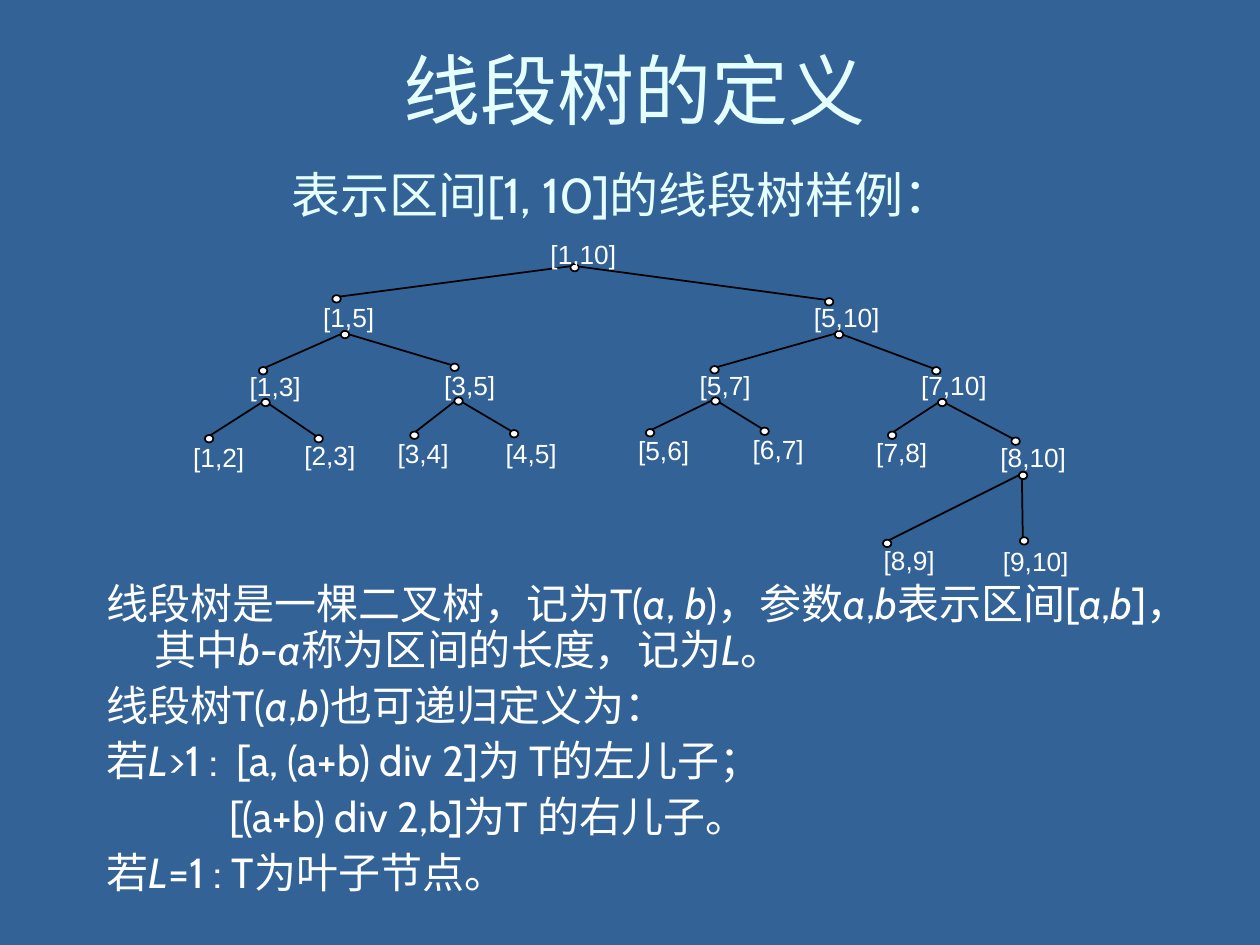
from lxml.etree import SubElement
from pptx import Presentation
from pptx.dml.color import RGBColor
from pptx.enum.shapes import MSO_CONNECTOR as Connector, MSO_SHAPE as Shape
from pptx.enum.text import MSO_ANCHOR as Anchor, MSO_AUTO_SIZE as AutoSize, PP_ALIGN as Align
from pptx.oxml.ns import qn
from pptx.util import Cm, Pt

BLUE = RGBColor(0x32, 0x62, 0x96)
PALE_CYAN = RGBColor(0xE5, 0xFF, 0xFF)
WHITE = RGBColor(0xFF, 0xFF, 0xFF)
BLACK = RGBColor(0x01, 0x01, 0x01)

HANGING = (0.97, -0.97)
DEFINITION = [
    ("线段树是一棵二叉树，记为T(*a*, *b*)，参数*a*,*b*表示区间[*a*,*b*]，"
     "其中*b*-*a*称为区间的长度，记为*L*。", HANGING),
    ("线段树T(*a*,*b*)也可递归定义为：", HANGING),
    ("若*L*>1 :  [a, (a+b) div 2]为 T的左儿子；", HANGING),
    ("[(a+b) div 2,b]为T 的右儿子。", (2.47, 0)),
    ("若*L*=1 : T为叶子节点。", HANGING),
]

LABELS = {
    (1, 10): (7.2, 0), (1, 5): (2.63, 1.27), (5, 10): (12.51, 1.27),
    (1, 3): (1.15, 2.67), (3, 5): (5.07, 2.64), (5, 7): (10.22, 2.64),
    (7, 10): (14.67, 2.64), (1, 2): (0.01, 4.09), (2, 3): (2.25, 4.06),
    (3, 4): (4.13, 4.01), (4, 5): (6.31, 4.01), (5, 6): (8.98, 3.96),
    (6, 7): (11.29, 3.94), (7, 8): (13.78, 3.99), (8, 10): (16.27, 4.09),
    (8, 9): (13.93, 6.17), (9, 10): (16.32, 6.2),
}
ENTRIES = {
    (1, 5): (2.86, 1.19), (5, 10): (12.79, 1.25), (1, 3): (1.38, 2.64),
    (3, 5): (5.24, 2.57), (5, 7): (10.48, 2.62), (7, 10): (14.95, 2.64),
    (1, 2): (0.29, 4.01), (2, 3): (2.5, 4.01), (3, 4): (4.43, 3.94),
    (4, 5): (6.44, 3.91), (5, 6): (9.18, 3.89), (6, 7): (11.49, 3.86),
    (7, 8): (14.06, 3.94), (8, 10): (16.55, 4.06), (8, 9): (13.96, 6.12),
    (9, 10): (16.72, 6.07),
}
EXITS = {
    (1, 10): (7.66, 0.56), (1, 5): (3.03, 1.91), (5, 10): (12.99, 1.91),
    (1, 3): (1.43, 3.28), (3, 5): (5.32, 3.25), (5, 7): (10.5, 3.25),
    (7, 10): (15.07, 3.28), (8, 10): (16.7, 4.75),
}


def set_font(paragraph, size, color, family="Cabin"):
    """Give all runs of a paragraph one font."""
    paragraph.font.size = Pt(size)
    paragraph.font.name = family
    paragraph.font.color.rgb = color


def add_heading(slide, box, wording, size, margin_right=0.25):
    """Place a centred heading in the box."""
    frame = slide.shapes.add_textbox(*map(Cm, box)).text_frame
    frame.word_wrap = True
    frame.vertical_anchor = Anchor.MIDDLE
    frame.margin_right = Cm(margin_right)
    heading = frame.paragraphs[0]
    heading.text = wording
    heading.alignment = Align.CENTER
    set_font(heading, size, PALE_CYAN)


def add_definition(slide, box):
    """Place the definition, with italics between asterisks."""
    frame = slide.shapes.add_textbox(*map(Cm, box)).text_frame
    frame.word_wrap = True
    for index, (wording, (left, first)) in enumerate(DEFINITION):
        sentence = frame.add_paragraph() if index else frame.paragraphs[0]
        sentence.line_spacing = 0.9
        sentence.space_before = Pt(6)
        set_font(sentence, 24, WHITE)
        properties = sentence._p.get_or_add_pPr()
        properties.set("marL", str(Cm(left)))
        properties.set("indent", str(Cm(first)))
        for part, phrase in enumerate(wording.split("*")):
            if phrase:
                run = sentence.add_run()
                run.text = phrase
                run.font.italic = part % 2 == 1


def children(interval):
    """Return the two halves of an interval, or none for a leaf."""
    start, end = interval
    middle = (start + end) // 2
    return [(start, middle), (middle, end)] if end - start > 1 else []


def add_edge(parts, begin, end):
    """Draw one branch of the tree."""
    edge = parts.add_connector(Connector.STRAIGHT, *map(Cm, begin + end))
    edge.line.color.rgb = BLACK
    edge.line.width = Pt(1)
    SubElement(edge._element.spPr, qn("a:effectLst"))


def add_joint(parts, point):
    """Draw the dot at one end of a branch."""
    x, y = point
    joint = parts.add_shape(Shape.OVAL, Cm(x - 0.06), Cm(y - 0.04), Cm(0.17), Cm(0.15))
    joint.shadow.inherit = False
    joint.fill.solid()
    joint.fill.fore_color.rgb = WHITE
    joint.line.color.rgb = BLACK
    joint.line.width = Pt(1)


def add_label(parts, point, interval):
    """Write the interval of one node."""
    x, y = point
    wording = "[{},{}]".format(*interval)
    width = 1.04 if len(wording) == 5 else 1.36
    frame = parts.add_textbox(Cm(x - 0.02), Cm(y), Cm(width), Cm(0.63)).text_frame
    frame.word_wrap = False
    frame.auto_size = AutoSize.SHAPE_TO_FIT_TEXT
    frame.margin_left = frame.margin_right = frame.margin_top = frame.margin_bottom = 0
    label = frame.paragraphs[0]
    label.text = wording
    label.alignment = Align.CENTER
    set_font(label, 15, WHITE, "Arial")


def add_tree(slide, left, top):
    """Draw the segment tree from its top left corner."""
    def place(point):
        return left + point[0], top + point[1]

    parts = slide.shapes.add_group_shape().shapes
    for interval, begin in EXITS.items():
        for child in children(interval):
            add_edge(parts, place(begin), place(ENTRIES[child]))
    for point in [*EXITS.values(), *ENTRIES.values()]:
        add_joint(parts, place(point))
    for interval, point in LABELS.items():
        add_label(parts, place(point), interval)


def main():
    """Build the slide and save it."""
    deck = Presentation()
    deck.slide_width, deck.slide_height = Cm(25.4), Cm(19.05)
    slide = deck.slides.add_slide(deck.slide_layouts[6])
    slide.background.fill.solid()
    slide.background.fill.fore_color.rgb = BLUE
    add_heading(slide, (1.7, 0.64, 22.2, 2.31), "线段树的定义", 44)
    add_definition(slide, (1.9, 11.64, 22.4, 6.73))
    add_heading(slide, (1.27, 2.91, 22.86, 2.01), "表示区间[1, 10]的线段树样例：", 28, 0.57)
    add_tree(slide, 3.9, 4.8)
    deck.save("out.pptx")


if __name__ == "__main__":
    main()
